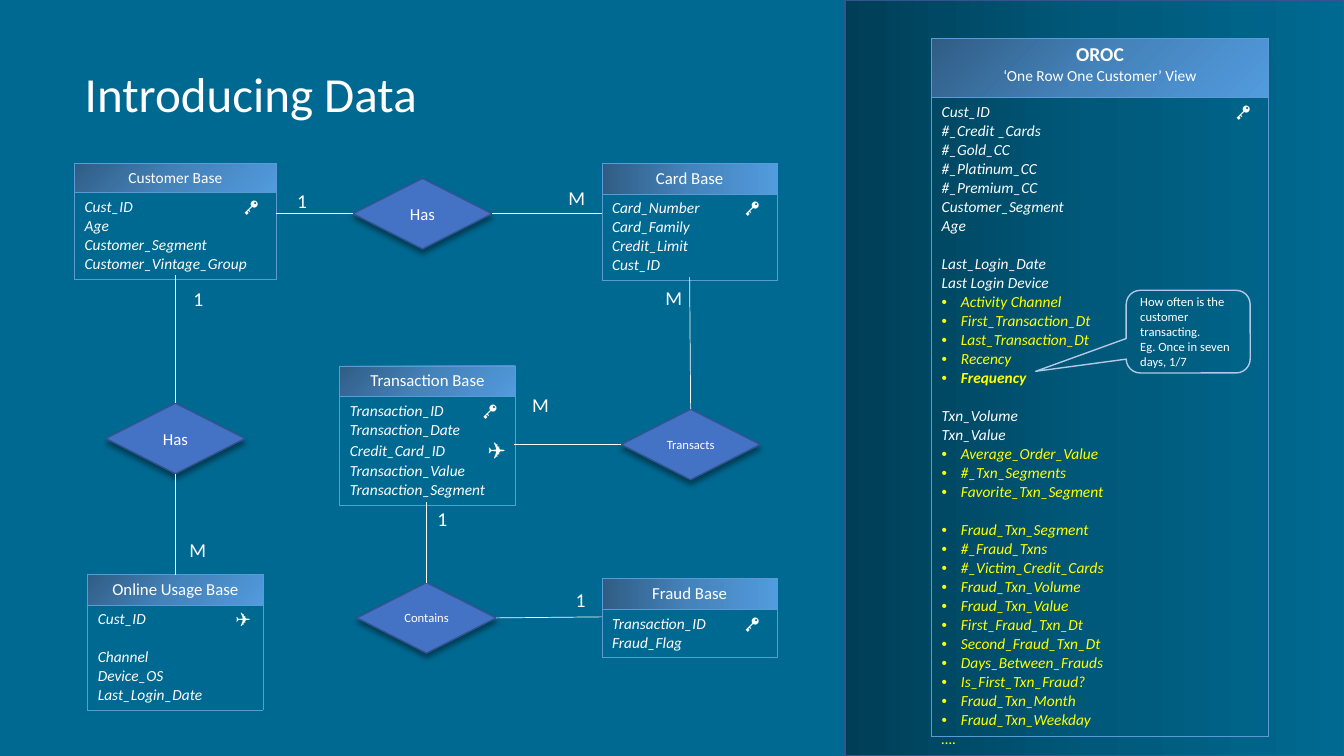
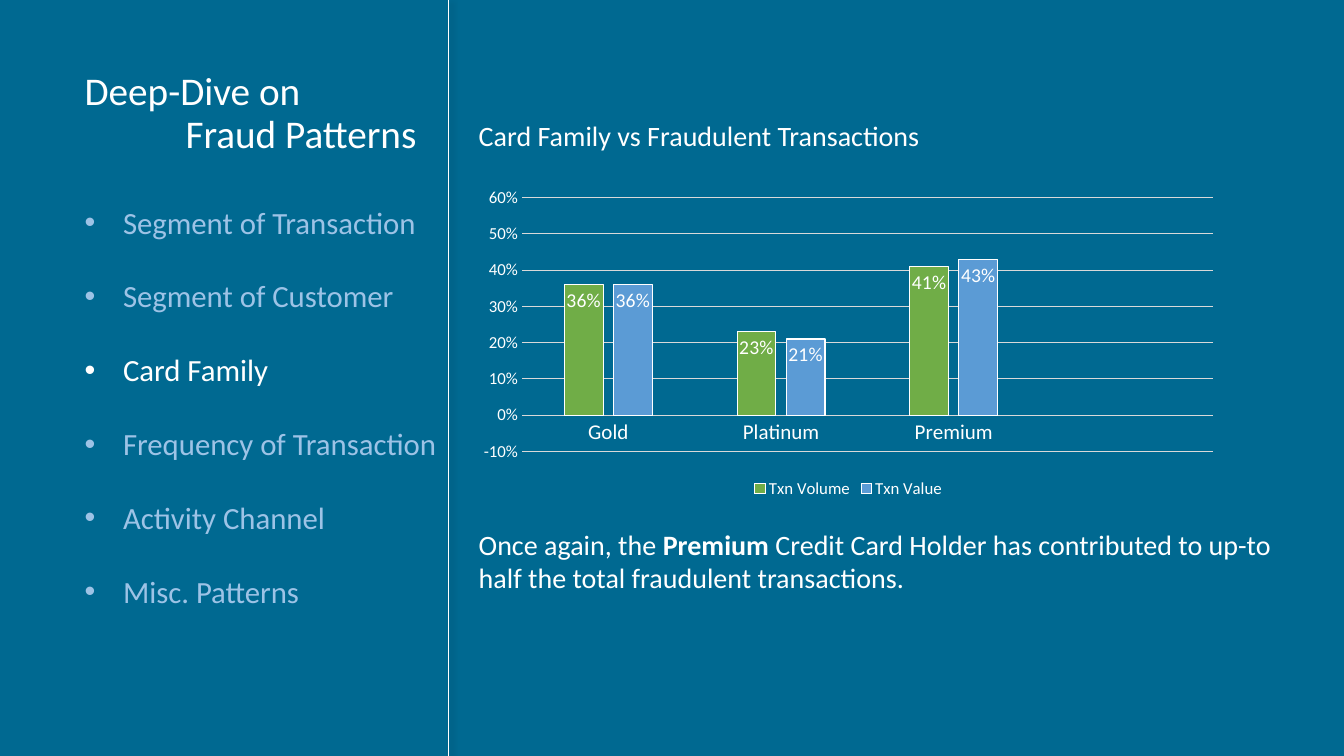
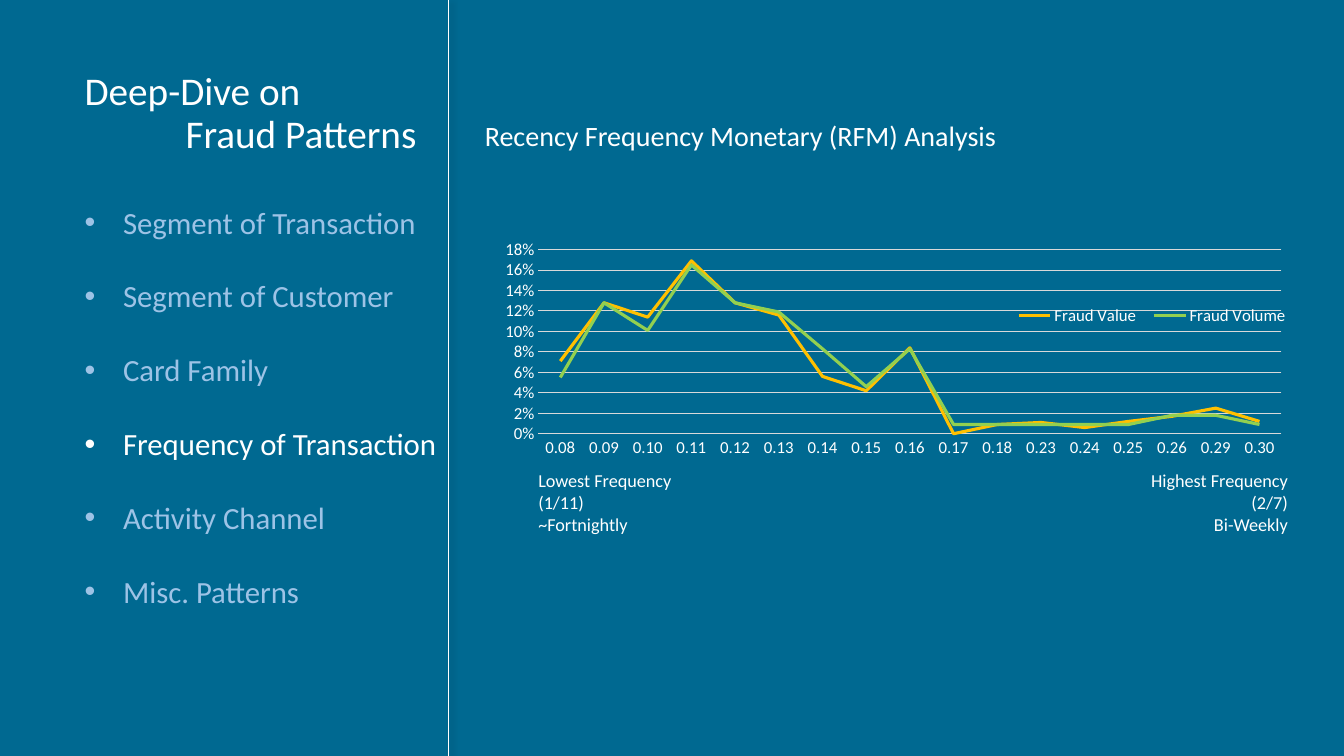
from copy import deepcopy
from dataclasses import dataclass

from lxml.etree import SubElement
from pptx import Presentation
from pptx.chart.data import CategoryChartData
from pptx.dml.color import RGBColor
from pptx.enum.chart import XL_CHART_TYPE, XL_LABEL_POSITION, XL_LEGEND_POSITION, XL_TICK_MARK
from pptx.enum.shapes import MSO_CONNECTOR, MSO_SHAPE
from pptx.enum.text import MSO_ANCHOR, MSO_AUTO_SIZE, PP_ALIGN
from pptx.oxml import parse_xml
from pptx.oxml.ns import nsdecls, qn
from pptx.util import Inches, Pt


# Theme: every colour and type size
@dataclass(frozen=True)
class Theme:
    font: str = "Calibri"
    white: str = "FFFFFF"
    background: str = "006991"
    derived: str = "FFFF00"
    muted: str = "9DC3E6"
    border: str = "5B9BD5"
    diamond: str = "4472C4"
    outline: str = "325491"
    callout: str = "B4C7E7"
    grid: str = "D9D9D9"
    green: str = "70AD47"
    blue: str = "5B9BD5"
    amber: str = "FFC000"
    lime: str = "92D050"
    header: tuple = ("305C84", "4583BB", "529BDE")
    panel: tuple = ("003E56", "00597A", "006991")
    title: float = 35
    topic_title: float = 28
    topic: float = 22
    heading: float = 20
    cardinality: float = 14
    note: float = 13
    label: float = 12
    field: float = 11
    small: float = 9


THEME = Theme()
TOP, LEFT, BOTTOM, RIGHT = range(4)
KEY, FOREIGN_KEY = "🔑", "✈"
ICON_INSET = {KEY: 0.32, FOREIGN_KEY: 0.27}
FIELD_LINE = 13.4


@dataclass(frozen=True)
class Line:
    """One paragraph; runs are (text, font overrides) pairs."""
    runs: tuple
    colour: str = THEME.white
    size: float = 0
    left: float = 0
    bullet: bool = False
    gap: float = 0
    tab: float = 0


def plain(text, **options):
    return Line(((text, {}),), **options)


def rgb(colour):
    return RGBColor.from_string(colour)


def apply(target, values):
    for name, value in values.items():
        setattr(target, name, value)


def style_font(font, size, colour=THEME.white, **extra):
    apply(font, {"name": THEME.font, "size": Pt(size), **extra})
    font.color.rgb = rgb(colour)


def style_line(line, colour, width):
    line.color.rgb = rgb(colour)
    line.width = Pt(width)


def gradient(fill, holder, colours, angle):
    """Three even stops; the angle runs clockwise."""
    fill.gradient()
    fill.gradient_angle = 360 - angle if angle else 0
    stops = holder.find(".//" + qn("a:gsLst"))
    stops.insert(1, deepcopy(stops[0]))
    stops[1].set("pos", "50000")
    for stop, colour in zip(fill.gradient_stops, colours):
        stop.color.rgb = rgb(colour)


def drop_shadow(item, direction):
    effects = item._element.spPr.find(qn("a:effectLst"))
    shadow = SubElement(effects, qn("a:outerShdw"), blurRad=str(Pt(4)), dist=str(Pt(3)),
                        dir=str(direction * 60000), algn="t", rotWithShape="0")
    black = SubElement(shadow, qn("a:srgbClr"), val="000000")
    SubElement(black, qn("a:alpha"), val="40000")


def cell_borders(cell):
    properties = cell._tc.get_or_add_tcPr()
    for index, side in enumerate(("lnL", "lnR", "lnT", "lnB")):
        properties.insert(index, parse_xml(
            f'<a:{side} {nsdecls("a")} w="{Pt(0.5)}"><a:solidFill>'
            f'<a:srgbClr val="{THEME.border}"/></a:solidFill></a:{side}>'))


def place(holder, index, left, top, width, height, inner=False):
    """Fixed position of a chart part, as shares of the chart."""
    present = holder.find(qn("c:layout"))
    if present is not None:
        holder.remove(present)
    layout = parse_xml(f'<c:layout {nsdecls("c")}><c:manualLayout/></c:layout>')
    values = {"xMode": "edge", "yMode": "edge", "x": left, "y": top, "w": width, "h": height}
    if inner:
        values = {"layoutTarget": "inner", **values}
    for tag, value in values.items():
        SubElement(layout[0], qn(f"c:{tag}"), val=str(value))
    holder.insert(index, layout)


class Deck:
    def __init__(self):
        self.presentation = Presentation()
        apply(self.presentation, {"slide_width": Inches(13.33), "slide_height": Inches(7.5)})
        fill = self.presentation.slide_master.background.fill
        fill.solid()
        fill.fore_color.rgb = rgb(THEME.background)
        self.slide = None

    def new_slide(self, layout, title_lines, size, width, height):
        self.slide = self.presentation.slides.add_slide(self.presentation.slide_layouts[layout])
        self.fill_placeholder(self.slide.shapes.title, (0.74, 0.67, width, height), title_lines,
                              size, MSO_ANCHOR.MIDDLE, 0.9)

    def fill_placeholder(self, holder, box, lines, size, anchor, spacing):
        apply(holder, dict(zip(("left", "top", "width", "height"), map(Inches, box))))
        apply(holder.text_frame, {"auto_size": MSO_AUTO_SIZE.NONE, "vertical_anchor": anchor,
                                  "word_wrap": True})
        self.set_lines(holder.text_frame, lines, size, spacing=spacing)

    def set_lines(self, frame, lines, size, align=PP_ALIGN.LEFT, spacing=None, **font):
        for index, line in enumerate(lines):
            paragraph = frame.add_paragraph() if index else frame.paragraphs[0]
            apply(paragraph, {"alignment": align, "line_spacing": spacing,
                              "space_before": Pt(line.gap), "space_after": Pt(0)})
            properties = paragraph._p.get_or_add_pPr()
            if line.left:
                properties.set("marL", str(Inches(line.left)))
                properties.set("indent", str(Inches(-line.left if line.bullet else 0)))
            if line.bullet:
                SubElement(properties, qn("a:buFont"), typeface="Arial")
                SubElement(properties, qn("a:buChar"), char="•")
            if line.tab:
                tabs = SubElement(properties, qn("a:tabLst"))
                SubElement(tabs, qn("a:tab"), pos=str(Inches(line.tab)), algn="l")
            for text, overrides in line.runs:
                run = paragraph.add_run()
                run.text = text
                style_font(run.font, **{"size": line.size or size, "colour": line.colour,
                                        **font, **overrides})

    def text(self, box, lines, size, align=PP_ALIGN.LEFT):
        frame = self.slide.shapes.add_textbox(*map(Inches, box)).text_frame
        frame.word_wrap = True
        self.set_lines(frame, lines, size, align)

    def shape(self, kind, box, outline, fill=None):
        shape = self.slide.shapes.add_shape(kind, *map(Inches, box))
        shape.shadow.inherit = False
        style_line(shape.line, outline, 1)
        if fill:
            shape.fill.solid()
            shape.fill.fore_color.rgb = rgb(fill)
        else:
            shape.fill.background()
        apply(shape.text_frame, {"word_wrap": True, "vertical_anchor": MSO_ANCHOR.MIDDLE})
        return shape

    def connector(self, start, end):
        line = self.slide.shapes.add_connector(MSO_CONNECTOR.STRAIGHT, *map(Inches, start + end))
        style_line(line.line, THEME.white, 0.5)
        SubElement(line._element.spPr, qn("a:effectLst"))
        return line

    def entity(self, header, left, top, width, fields, header_height=0.3, angle=45,
               body_height=None, bottom_margin=0.05):
        body_height = body_height or round(0.1 + 0.19 * len(fields), 2)
        table = self.slide.shapes.add_table(
            2, 1, *map(Inches, (left, top, width, header_height + body_height))).table
        apply(table, {"first_row": False, "horz_banding": False})
        for row, height in zip(table.rows, (header_height, body_height)):
            row.height = Inches(height)
        head, body = table.cell(0, 0), table.cell(1, 0)
        gradient(head.fill, head._tc, THEME.header, angle)
        body.fill.background()
        body.margin_bottom = Inches(bottom_margin)
        for cell in (head, body):
            cell_borders(cell)
        self.set_lines(head.text_frame, header, THEME.label, PP_ALIGN.CENTER)
        self.set_lines(body.text_frame, [self.field(item, width) for item in fields],
                       THEME.field, italic=True)

    @staticmethod
    def field(item, width):
        """A field is a line, a name, or (name, icon[, icon size])."""
        if isinstance(item, Line):
            return item
        if isinstance(item, str):
            return plain(item)
        name, icon, *size = item
        look = {"italic": False, "bold": True, "size": size[0] if size else THEME.field}
        return Line(((name + "\t", {}), (icon, look)), tab=width - 0.1 - ICON_INSET[icon])

    def relation(self, name, left, top, size, links):
        diamond = self.shape(MSO_SHAPE.FLOWCHART_DECISION, (left, top, 1.38, 0.7),
                             THEME.outline, THEME.diamond)
        drop_shadow(diamond, 90)
        self.set_lines(diamond.text_frame, [plain(name)], size, PP_ALIGN.CENTER)
        for point, side in links:
            self.connector(point, point).end_connect(diamond, side)

    def topic_slide(self, current):
        self.new_slide(1, [plain("Deep-Dive on"), plain("Fraud Patterns", left=1)],
                       THEME.topic_title, 3.52, 0.93)
        topics = [plain(topic, left=0.38, bullet=True,
                        colour=THEME.white if topic == current else THEME.muted)
                  for topic in TOPICS]
        self.fill_placeholder(self.slide.placeholders[1], (0.74, 1.6, 4.12, 4.85), topics,
                              THEME.topic, MSO_ANCHOR.TOP, 2.0)
        drop_shadow(self.connector((4.45, 0), (4.45, 7.5)), 45)

    def chart(self, kind, box, categories, series, plot_box, category_size, scale):
        data = CategoryChartData(number_format="0%")
        data.categories = categories
        for name, values in series:
            data.add_series(name, values)
        chart = self.slide.shapes.add_chart(kind, *map(Inches, box), data).chart
        apply(chart, {"has_title": False, "has_legend": True})
        style_font(chart.font, 10)
        apply(chart.legend, {"position": XL_LEGEND_POSITION.BOTTOM, "include_in_layout": False})
        style_font(chart.legend.font, THEME.label)
        place(chart._chartSpace.find(".//" + qn("c:plotArea")), 0, *plot_box, inner=True)
        chart.plots[0].vary_by_categories = False
        # Axes
        values, names = chart.value_axis, chart.category_axis
        for axis, size in ((values, THEME.label), (names, category_size)):
            apply(axis, {"major_tick_mark": XL_TICK_MARK.NONE, "minor_tick_mark": XL_TICK_MARK.NONE})
            style_font(axis.tick_labels.font, size)
        apply(values, dict(zip(("minimum_scale", "maximum_scale", "major_unit"), scale)))
        apply(values.tick_labels, {"number_format": "0%", "number_format_is_linked": False})
        values.format.line.fill.background()
        style_line(values.major_gridlines.format.line, THEME.grid, 0.75)
        style_line(names.format.line, THEME.grid, 0.75)
        return chart


# Content
TOPICS = ("Segment of Transaction", "Segment of Customer", "Card Family",
          "Frequency of Transaction", "Activity Channel", "Misc. Patterns")

ENTITIES = (
    ([plain("Customer Base", size=THEME.field)], 0.74, 1.62, 2,
     (("Cust_ID", KEY), "Age", "Customer_Segment", "Customer_Vintage_Group"), 0.29, 45),
    ([plain("Card Base")], 5.97, 1.62, 1.74,
     (("Card_Number", KEY), "Card_Family", "Credit_Limit", "Cust_ID"), 0.3, 0),
    ([plain("Transaction Base")], 3.37, 3.63, 1.74,
     (("Transaction_ID", KEY), "Transaction_Date", ("Credit_Card_ID", FOREIGN_KEY, 13),
      "Transaction_Value", "Transaction_Segment"), 0.3, 45),
    ([plain("Fraud Base")], 5.97, 5.74, 1.74, (("Transaction_ID", KEY), "Fraud_Flag"), 0.3, 0),
    ([plain("Online Usage Base")], 0.87, 5.7, 1.74,
     (("Cust_ID", FOREIGN_KEY), plain("Channel", gap=FIELD_LINE), "Device_OS",
      "Last_Login_Date"), 0.3, 45),
)

RELATIONS = (
    ("Has", 3.5, 1.77, THEME.label, (((2.74, 2.12), LEFT), ((5.97, 2.12), RIGHT))),
    ("Has", 1.05, 4, THEME.label, (((1.74, 2.73), TOP), ((1.74, 5.7), BOTTOM))),
    ("Transacts", 6.16, 4.06, THEME.small, (((6.84, 2.75), TOP), ((5.1, 4.41), LEFT))),
    ("Contains", 3.54, 5.78, THEME.small, (((4.23, 4.98), TOP), ((5.97, 6.12), RIGHT))),
)

CARDINALITIES = (("1", 2.85, 1.83), ("M", 5.54, 1.8), ("M", 6.5, 2.79), ("M", 5.18, 3.85),
                 ("M", 1.78, 5.29), ("1", 1.82, 2.8), ("1", 4.24, 4.98), ("1", 5.61, 5.78))


def derived(*names, gap=0, bold=()):
    return [Line(((name, {"bold": name in bold}),), THEME.derived, left=0.19, bullet=True,
                 gap=0 if index else gap) for index, name in enumerate(names)]


CUSTOMER_VIEW = [
    ("Cust_ID", KEY), "#_Credit _Cards", "#_Gold_CC", "#_Platinum_CC", "#_Premium_CC",
    "Customer_Segment", "Age", plain("Last_Login_Date", gap=FIELD_LINE), "Last Login Device",
    *derived("Activity Channel", "First_Transaction_Dt", "Last_Transaction_Dt", "Recency",
             "Frequency", bold=("Frequency",)),
    plain("Txn_Volume", gap=FIELD_LINE), "Txn_Value",
    *derived("Average_Order_Value", "#_Txn_Segments", "Favorite_Txn_Segment"),
    *derived("Fraud_Txn_Segment", "#_Fraud_Txns", "#_Victim_Credit_Cards", "Fraud_Txn_Volume",
             "Fraud_Txn_Value", "First_Fraud_Txn_Dt", "Second_Fraud_Txn_Dt",
             "Days_Between_Frauds", "Is_First_Txn_Fraud?", "Fraud_Txn_Month",
             "Fraud_Txn_Weekday", gap=FIELD_LINE),
    plain("….", colour=THEME.derived),
]


def data_slide(deck):
    deck.new_slide(5, [plain("Introducing Data")], THEME.title, 9.4, 0.58)
    # Entity diagram
    for entity in ENTITIES:
        deck.entity(*entity)
    for relation in RELATIONS:
        deck.relation(*relation)
    for mark, left, top in CARDINALITIES:
        deck.text((left, top, 0.36, 0.34), [plain(mark)], THEME.cardinality)
    # Customer view panel
    panel = deck.shape(MSO_SHAPE.FLOWCHART_PROCESS, (8.38, 0, 4.95, 7.5), THEME.outline)
    gradient(panel.fill, panel._element.spPr, THEME.panel, 0)
    deck.entity([Line((("OROC", {"bold": True}),), size=14),
                 plain("‘One Row One Customer’ View", size=THEME.field)],
                9.24, 0.38, 3.34, CUSTOMER_VIEW, 0.59, body_height=6.34, bottom_margin=0)
    callout = deck.shape(MSO_SHAPE.ROUNDED_RECTANGULAR_CALLOUT, (11.17, 2.88, 1.23, 0.82),
                         THEME.callout)
    for index, value in enumerate((-1.23, 0.48, 0.17)):
        callout.adjustments[index] = value
    deck.set_lines(callout.text_frame, [plain("How often is the customer transacting."),
                                        plain("Eg. Once in seven days, 1/7")], THEME.small)


def card_family_slide(deck):
    deck.topic_slide("Card Family")
    chart = deck.chart(
        XL_CHART_TYPE.COLUMN_CLUSTERED, (4.65, 1.8, 7.53, 3.19),
        ("Gold", "Platinum", "Premium", ""),
        (("Txn Volume", (0.36, 0.23, 0.41, None)), ("Txn Value", (0.36, 0.21, 0.43, None))),
        (0.07, 0.05, 0.91, 0.79), 15, (-0.1, 0.6, 0.1))
    plot = chart.plots[0]
    apply(plot, {"gap_width": 219, "overlap": -27, "has_data_labels": True})
    apply(plot.data_labels, {"show_value": True, "position": XL_LABEL_POSITION.INSIDE_END,
                             "number_format": "0%", "number_format_is_linked": False})
    style_font(plot.data_labels.font, 14)
    for series, colour in zip(plot.series, (THEME.green, THEME.blue)):
        series.format.fill.solid()
        series.format.fill.fore_color.rgb = rgb(colour)
        style_line(series.format.line, THEME.white, 0.75)
    deck.text((4.65, 1.13, 8.6, 0.74), [plain("Card Family vs Fraudulent Transactions")],
              THEME.heading)
    finding = Line((("Once again, the ", {}), ("Premium", {"bold": True}),
                    (" Credit Card Holder has contributed to up-to half the total "
                     "fraudulent transactions.", {})))
    deck.text((4.65, 5.18, 8.24, 1.08), [finding], THEME.heading)


def frequency_slide(deck):
    deck.topic_slide("Frequency of Transaction")
    deck.text((4.71, 1.13, 7.71, 0.44), [plain("Recency Frequency Monetary (RFM) Analysis")],
              THEME.heading)
    frequencies = ("0.08 0.09 0.10 0.11 0.12 0.13 0.14 0.15 0.16 0.17 0.18 "
                   "0.23 0.24 0.25 0.26 0.29 0.30").split()
    chart = deck.chart(
        XL_CHART_TYPE.LINE, (4.86, 2.32, 8.01, 2.61), frequencies,
        (("Fraud Value", (0.071, 0.128, 0.114, 0.169, 0.128, 0.116, 0.056, 0.042, 0.084, 0,
                          0.009, 0.011, 0.006, 0.012, 0.017, 0.025, 0.012)),
         ("Fraud Volume", (0.055, 0.128, 0.101, 0.165, 0.128, 0.119, 0.083, 0.046, 0.083, 0.009,
                           0.009, 0.009, 0.009, 0.009, 0.018, 0.018, 0.009))),
        (0.06, 0.06, 0.92, 0.7), THEME.label, (0, 0.18, 0.02))
    place(chart.legend._element, 1, 0.64, 0.26, 0.36, 0.1)
    for series, colour in zip(chart.plots[0].series, (THEME.amber, THEME.lime)):
        series.smooth = False
        style_line(series.format.line, colour, 2.25)
    # Ends of the frequency scale
    for left, align, lines in (
            (5.24, PP_ALIGN.LEFT, ("Lowest Frequency", "(1/11)", "~Fortnightly")),
            (11.12, PP_ALIGN.RIGHT, ("Highest Frequency", "(2/7)", "Bi-Weekly"))):
        deck.text((left, 4.61, 1.75, 0.76), map(plain, lines), THEME.note, align)


def main():
    deck = Deck()
    data_slide(deck)
    card_family_slide(deck)
    frequency_slide(deck)
    deck.presentation.save("out.pptx")


if __name__ == "__main__":
    main()
